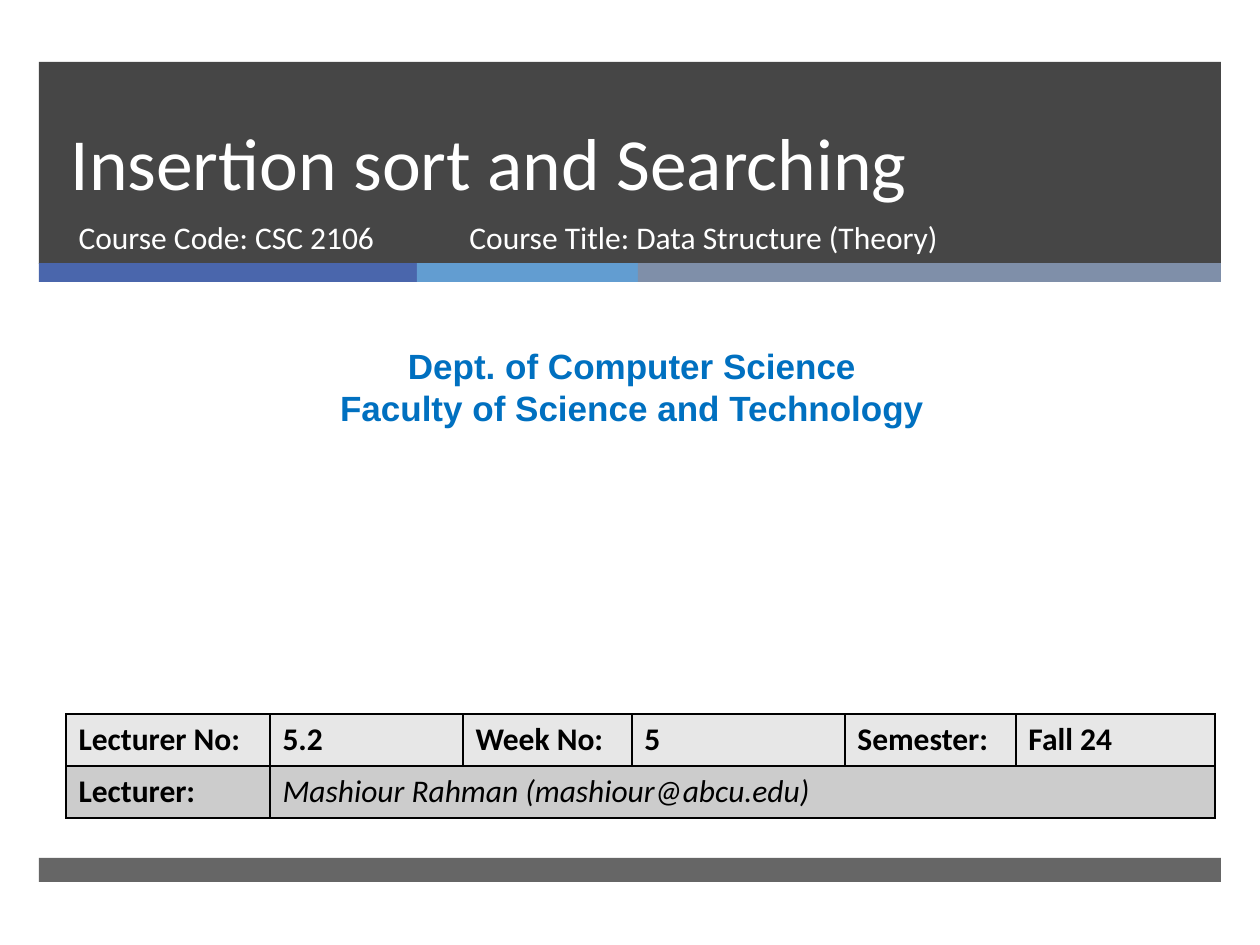
from lxml import etree
from pptx import Presentation
from pptx.dml.color import RGBColor
from pptx.enum.shapes import MSO_SHAPE
from pptx.enum.text import MSO_ANCHOR, MSO_AUTO_SIZE, PP_ALIGN
from pptx.oxml.ns import qn
from pptx.util import Pt

RECT = MSO_SHAPE.RECTANGLE
TOP, BOTTOM = MSO_ANCHOR.TOP, MSO_ANCHOR.BOTTOM
LEFT, CENTER = PP_ALIGN.LEFT, PP_ALIGN.CENTER
NO_FIT, GROW = MSO_AUTO_SIZE.NONE, MSO_AUTO_SIZE.SHAPE_TO_FIT_TEXT
SCALE = 914400 / 126

EDGE, WIDTH = 39, 1182
STRIPES = [(378, "4A66AC"), (221, "629DD1"), (583, "7F8FA9")]
COLUMNS = [204, 193, 169, 213, 171, 199]
ROW = 52
FACTS = ["Lecturer No:", "5.2", "Week No:", "5", "Semester:", "Fall 24"]
LECTURER = ["Lecturer:", "Mashiour Rahman (mashiour@abcu.edu)"]
WHITE = {"size": Pt(18), "name": "Calibri", "color": "FFFFFF"}


def px(n):
    return round(n * SCALE)


def paint(fmt, color):
    """Give a fill or a font colour format its hex colour."""
    fmt.rgb = RGBColor.from_string(color)


def place(shape, box):
    for key, n in zip(("left", "top", "width", "height"), box):
        setattr(shape, key, px(n))


def style(font, look):
    for key, value in look.items():
        if key == "color":
            paint(font.color, value)
        else:
            setattr(font, key, value)


def bar(slide, box, color, alpha=None):
    """Draw a plain block, with its opacity in percent."""
    shape = slide.shapes.add_shape(RECT, *map(px, box))
    shape.shadow.inherit = False
    shape.fill.solid()
    paint(shape.fill.fore_color, color)
    shape.line.fill.background()
    if alpha:
        tone = shape.fill._xPr.find(qn("a:solidFill"))[0]
        etree.SubElement(tone, qn("a:alpha"), val=str(alpha * 1000))


def write(shape, lines, look, align=LEFT, anchor=TOP, fit=NO_FIT, lead=None):
    frame = shape.text_frame
    frame.word_wrap = True
    frame.auto_size = fit
    frame.vertical_anchor = anchor
    frame.text = "\n".join(lines)
    for para in frame.paragraphs:
        para.alignment = align
        para.space_before = Pt(0)
        para.line_spacing = lead
        style(para.runs[0].font, look)


def label(slide, box, lines, look, **opts):
    write(slide.shapes.add_textbox(*map(px, box)), lines, look, **opts)


def holder(slide, index, box, text, look, **opts):
    """Fill a placeholder and lift it above the bars."""
    shape = slide.placeholders[index]
    place(shape, box)
    write(shape, [text], look, **opts)
    slide.shapes._spTree.append(shape._element)


def border(cell):
    props = cell._tc.get_or_add_tcPr()
    for i, side in enumerate(("lnL", "lnR", "lnT", "lnB")):
        line = etree.Element(qn("a:" + side), w=str(Pt(1)))
        fill = etree.SubElement(line, qn("a:solidFill"))
        etree.SubElement(fill, qn("a:srgbClr"), val="000000")
        props.insert(i, line)


def details(slide):
    box = (66, 714, sum(COLUMNS), 2 * ROW)
    table = slide.shapes.add_table(2, len(COLUMNS), *map(px, box)).table
    for col, width in zip(table.columns, COLUMNS):
        col.width = px(width)
    rows = zip(table.rows, (FACTS, LECTURER), ("E7E7E7", "CCCCCC"))
    for r, (row, texts, color) in enumerate(rows):
        row.height = px(ROW)
        for c, cell in enumerate(row.cells):
            cell.fill.solid()
            paint(cell.fill.fore_color, color)
            border(cell)
            if c < len(texts):
                name = (r, c) == (1, 1)
                cell.text = texts[c]
                style(cell.text_frame.paragraphs[0].runs[0].font,
                      WHITE | {"color": "000000", "bold": not name,
                               "italic": name})
    table.cell(1, 1).merge(table.cell(1, len(COLUMNS) - 1))


def main():
    deck = Presentation()
    deck.slide_width, deck.slide_height = px(1260), px(945)
    slide = deck.slides.add_slide(deck.slide_layouts[0])

    bar(slide, (EDGE, 62, WIDTH, 202), "262626", 85)
    left = EDGE
    for width, color in STRIPES:
        bar(slide, (left, 263, width, 19), color)
        left += width
    bar(slide, (EDGE, 858, WIDTH, 24), "262626", 70)

    holder(slide, 0, (58, 62, 1076, 150), "Insertion sort and Searching",
           WHITE | {"size": Pt(42)}, anchor=BOTTOM, lead=Pt(46))
    holder(slide, 1, (66, 212, 384, 67), "Course Code: CSC 2106", WHITE)
    label(slide, (10, 338, 1244, 97),
          ["Dept. of Computer Science", "Faculty of Science and Technology"],
          {"size": Pt(20), "name": "Arial", "color": "0070C0", "bold": True},
          align=CENTER, fit=GROW)
    details(slide)
    label(slide, (457, 212, 573, 67),
          ["Course Title: Data Structure (Theory)"], WHITE)
    deck.save("out.pptx")


if __name__ == "__main__":
    main()
